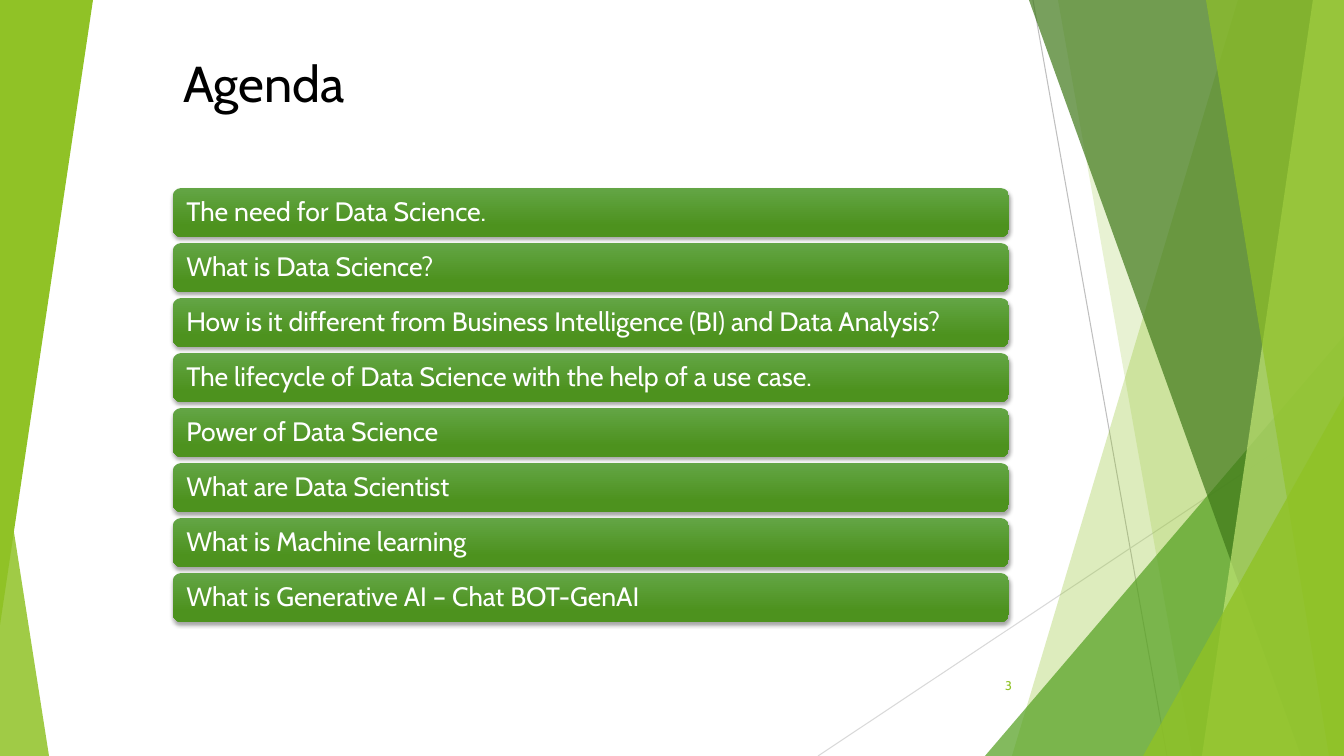
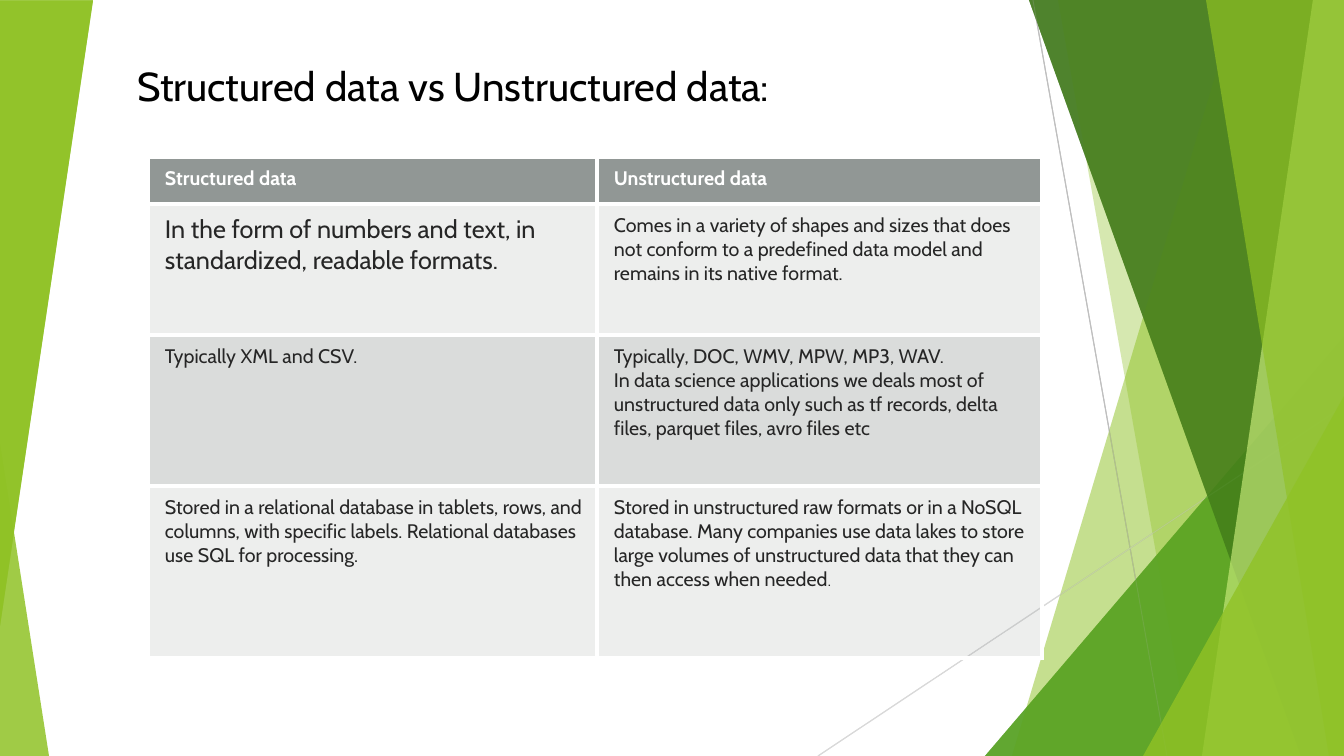
from dataclasses import dataclass

from pptx import Presentation
from pptx.dml.color import RGBColor
from pptx.enum.shapes import MSO_CONNECTOR, MSO_SHAPE
from pptx.enum.text import MSO_ANCHOR, MSO_AUTO_SIZE, PP_ALIGN
from pptx.oxml.ns import qn
from pptx.util import Emu, Pt
from lxml.etree import SubElement

PX = 914400 / 100.8
WIDTH, HEIGHT = 1344, 756


@dataclass(frozen=True)
class Theme:
    font: str = "Cabin"
    black: str = "000000"
    white: str = "FFFFFF"
    text: str = "262626"
    lime: str = "90C226"
    green: str = "54A021"
    forest: str = "3F7819"
    pale: str = "C0E474"
    bar_top: str = "63A545"
    bar_bottom: str = "4D921E"
    header: str = "636B68"
    row: str = "878E8B"
    agenda_title: float = 36
    table_title: float = 28.8
    bar_size: float = 19
    large_size: float = 18
    cell_size: float = 14
    stop_size: float = 11
    number_size: float = 9


THEME = Theme()

# Content
AGENDA = [
    "The need for Data Science.",
    "What is Data Science?",
    "How is it different from Business Intelligence (BI) and Data Analysis?",
    "The lifecycle of Data Science with the help of a use case.",
    "Power of Data Science",
    "What are Data Scientist",
    "What is Machine learning",
    "What is Generative AI – Chat BOT-GenAI",
]

# Each cell is a list of paragraphs, each paragraph a list of (text, size)
SIZE = THEME.cell_size
COMPARISON = [
    ([[("Structured data", SIZE)]], [[("Unstructured data", SIZE)]]),
    ([[("In the form of numbers and text, in standardized, readable formats.",
        THEME.large_size)]],
     [[("Comes in a variety of shapes and sizes that does not conform to a "
        "predefined data model and remains in its native format.", SIZE)]]),
    ([[("Typically XML and CSV.", SIZE)]],
     [[("Typically, DOC, WMV, MPW, MP3, WAV.", SIZE)],
      [("In data science applications we deals most of unstructured data only such "
        "as tf records, delta files, parquet files, avro files etc", SIZE)]]),
    ([[("Stored in a relational database in tablets, rows, and columns, with specific "
        "labels. Relational databases use SQL for processing.", SIZE)]],
     [[("Stored in unstructured raw formats or in a NoSQL database. Many companies use "
        "data lakes to store large volumes of unstructured data that they can then "
        "access when needed", SIZE), (".", THEME.stop_size)]]),
]
COLUMN_WIDTHS = (449, 445)
ROW_HEIGHTS = (47, 131, 151, 172)
ROW_FILLS = [(THEME.header, 70), (THEME.row, 15), (THEME.row, 30), (THEME.row, 15)]

# Side decoration, from back to front
HAIRLINES = [((1033, 0), (1167, HEIGHT), "BFBFBF"),
             ((WIDTH, 406), (818, HEIGHT), "D9D9D9")]
# Bands run to the right edge: top x, bottom x, colour, opacity
# Corners are triangles: left, top, width, apex, colour, opacity
FACETS = [
    ("band", (1238, 1012), THEME.lime, 30),
    ("band", (1058, 1192), THEME.lime, 20),
    ("corner", (985, 336, 359, 1), THEME.green, 72),
    ("band", (1029, 1301), THEME.forest, 70),
    ("band", (1313, 1202), THEME.pale, 70),
    ("band", (1206, 1329), THEME.lime, 65),
    ("corner", (1143, 396, 201, 1), THEME.lime, 80),
]
LEFT_CORNER = ("corner", (0, 443, 49, 0), THEME.lime, 85)


def px(*lengths):
    return [Emu(round(length * PX)) for length in lengths]


def rgb(code):
    return RGBColor.from_string(code)


def set_opacity(fill_parent, percent):
    colour = fill_parent.find(f"{qn('a:solidFill')}/{qn('a:srgbClr')}")
    SubElement(colour, qn("a:alpha"), val=str(percent * 1000))


def paint(shape, colour, opacity=100):
    shape.shadow.inherit = False
    shape.line.fill.background()
    shape.fill.solid()
    shape.fill.fore_color.rgb = rgb(colour)
    if opacity < 100:
        set_opacity(shape.element.spPr, opacity)


def add_span(para, text, size, colour, bold=False):
    span = para.add_run()
    span.text = text
    font = span.font
    font.name, font.size, font.bold = THEME.font, Pt(size), bold
    font.color.rgb = rgb(colour)


def set_insets(target, left, top, right, bottom):
    (target.margin_left, target.margin_top,
     target.margin_right, target.margin_bottom) = px(left, top, right, bottom)


# Shared decoration
def add_triangle(shapes, area, apex, colour, opacity):
    triangle = shapes.add_shape(MSO_SHAPE.ISOSCELES_TRIANGLE, *px(*area))
    triangle.adjustments[0] = apex
    paint(triangle, colour, opacity)
    return triangle


def add_wedge(page, top, opacity):
    wedge = add_triangle(page.shapes, (0, top, 93, 625), 1, THEME.lime, opacity)
    wedge.rotation = 180


def add_facets(page, facets):
    group = page.shapes.add_group_shape()
    for start, end, colour in HAIRLINES:
        line = group.shapes.add_connector(MSO_CONNECTOR.STRAIGHT, *px(*start, *end))
        line.line.color.rgb = rgb(colour)
        line.line.width = Pt(0.75)
        SubElement(line.element.spPr, qn("a:effectLst"))
    for kind, place, colour, opacity in facets:
        if kind == "band":
            top_x, bottom_x = place
            outline = group.shapes.build_freeform(top_x, 0, scale=PX)
            outline.add_line_segments(
                [(WIDTH, 0), (WIDTH, HEIGHT), (bottom_x, HEIGHT)], close=True)
            paint(outline.convert_to_shape(), colour, opacity)
        else:
            left, top, width, apex = place
            add_triangle(group.shapes, (left, top, width, HEIGHT - top),
                         apex, colour, opacity)
    return group


def move_to_layout(group, layout):
    for number, names in enumerate(group.element.iter(qn("p:cNvPr")), 101):
        names.set("id", str(number))
    layout.shapes.element.append(group.element)


def set_title(page, text, area, size, anchor):
    title = page.shapes.title
    title.left, title.top, title.width, title.height = px(*area)
    frame = title.text_frame
    frame.auto_size, frame.word_wrap = MSO_AUTO_SIZE.NONE, True
    frame.vertical_anchor = anchor
    para = frame.paragraphs[0]
    para.alignment = PP_ALIGN.LEFT
    add_span(para, text, size, THEME.black)


# Agenda
def add_bar(page, text, top):
    bar = page.shapes.add_shape(MSO_SHAPE.ROUNDED_RECTANGLE, *px(173, top, 836, 49))
    bar.line.fill.background()
    bar.fill.gradient()
    bar.fill.gradient_angle = 270
    stops = ((0, THEME.bar_top), (0.78, THEME.bar_bottom))
    for stop, (position, colour) in zip(bar.fill.gradient_stops, stops):
        stop.position = position
        stop.color.rgb = rgb(colour)
    bar.shadow.inherit = False
    effects = bar.element.spPr.find(qn("a:effectLst"))
    shadow = SubElement(effects, qn("a:outerShdw"), blurRad=str(Pt(3)),
                        dist=str(Pt(2)), dir="5400000", rotWithShape="0")
    shade = SubElement(shadow, qn("a:srgbClr"), val=THEME.black)
    SubElement(shade, qn("a:alpha"), val="35000")
    frame = bar.text_frame
    frame.word_wrap, frame.vertical_anchor = True, MSO_ANCHOR.MIDDLE
    set_insets(frame, 11, 8, 11, 8)
    para = frame.paragraphs[0]
    para.alignment, para.line_spacing = PP_ALIGN.LEFT, 0.9
    add_span(para, text, THEME.bar_size, THEME.white)


def add_number(page, number):
    box = page.shapes.add_textbox(*px(975, 666, 47, 40))
    frame = box.text_frame
    frame.word_wrap, frame.vertical_anchor = True, MSO_ANCHOR.MIDDLE
    para = frame.paragraphs[0]
    para.alignment, para.space_after = PP_ALIGN.RIGHT, Pt(6)
    add_span(para, number, THEME.number_size, THEME.lime)


def build_agenda(page):
    set_title(page, "Agenda", (173, 47, 412, 145), THEME.agenda_title, MSO_ANCHOR.TOP)
    add_wedge(page, 0, 100)
    add_number(page, "3")
    for index, text in enumerate(AGENDA):
        add_bar(page, text, 188 + 55 * index)


# Comparison
def add_borders(properties):
    for position, side in enumerate(("lnL", "lnR", "lnT", "lnB")):
        border = SubElement(properties, qn(f"a:{side}"), w=str(Pt(3)))
        fill = SubElement(border, qn("a:solidFill"))
        SubElement(fill, qn("a:srgbClr"), val=THEME.white)
        properties.insert(position, border)


def fill_cell(cell, paragraphs, background, is_header):
    cell.fill.solid()
    colour, opacity = background
    cell.fill.fore_color.rgb = rgb(colour)
    properties = cell._tc.tcPr
    set_opacity(properties, opacity)
    add_borders(properties)
    set_insets(cell, 17, 10, 10, 10)
    frame = cell.text_frame
    for index, spans in enumerate(paragraphs):
        para = frame.add_paragraph() if index else frame.paragraphs[0]
        for text, size in spans:
            add_span(para, text, size, THEME.white if is_header else THEME.text, is_header)


def build_comparison(page):
    set_title(page, "Structured data vs Unstructured data:", (127, 21, 774, 94),
              THEME.table_title, MSO_ANCHOR.BOTTOM)
    add_facets(page, FACETS)
    for top in (0, 1):
        add_wedge(page, top, 85)
    area = px(148, 157, sum(COLUMN_WIDTHS), sum(ROW_HEIGHTS))
    table = page.shapes.add_table(len(ROW_HEIGHTS), len(COLUMN_WIDTHS), *area).table
    table.first_row = table.horz_banding = False
    for column, width in zip(table.columns, px(*COLUMN_WIDTHS)):
        column.width = width
    for row, height in zip(table.rows, px(*ROW_HEIGHTS)):
        row.height = height
    for r, contents in enumerate(COMPARISON):
        for c, paragraphs in enumerate(contents):
            fill_cell(table.cell(r, c), paragraphs, ROW_FILLS[r], r == 0)


def main():
    deck = Presentation()
    deck.slide_width, deck.slide_height = px(WIDTH, HEIGHT)
    layout = deck.slide_layouts.get_by_name("Title Only")
    agenda, comparison = (deck.slides.add_slide(layout) for _ in range(2))
    move_to_layout(add_facets(agenda, FACETS + [LEFT_CORNER]), layout)
    build_agenda(agenda)
    build_comparison(comparison)
    deck.save("out.pptx")


if __name__ == "__main__":
    main()
